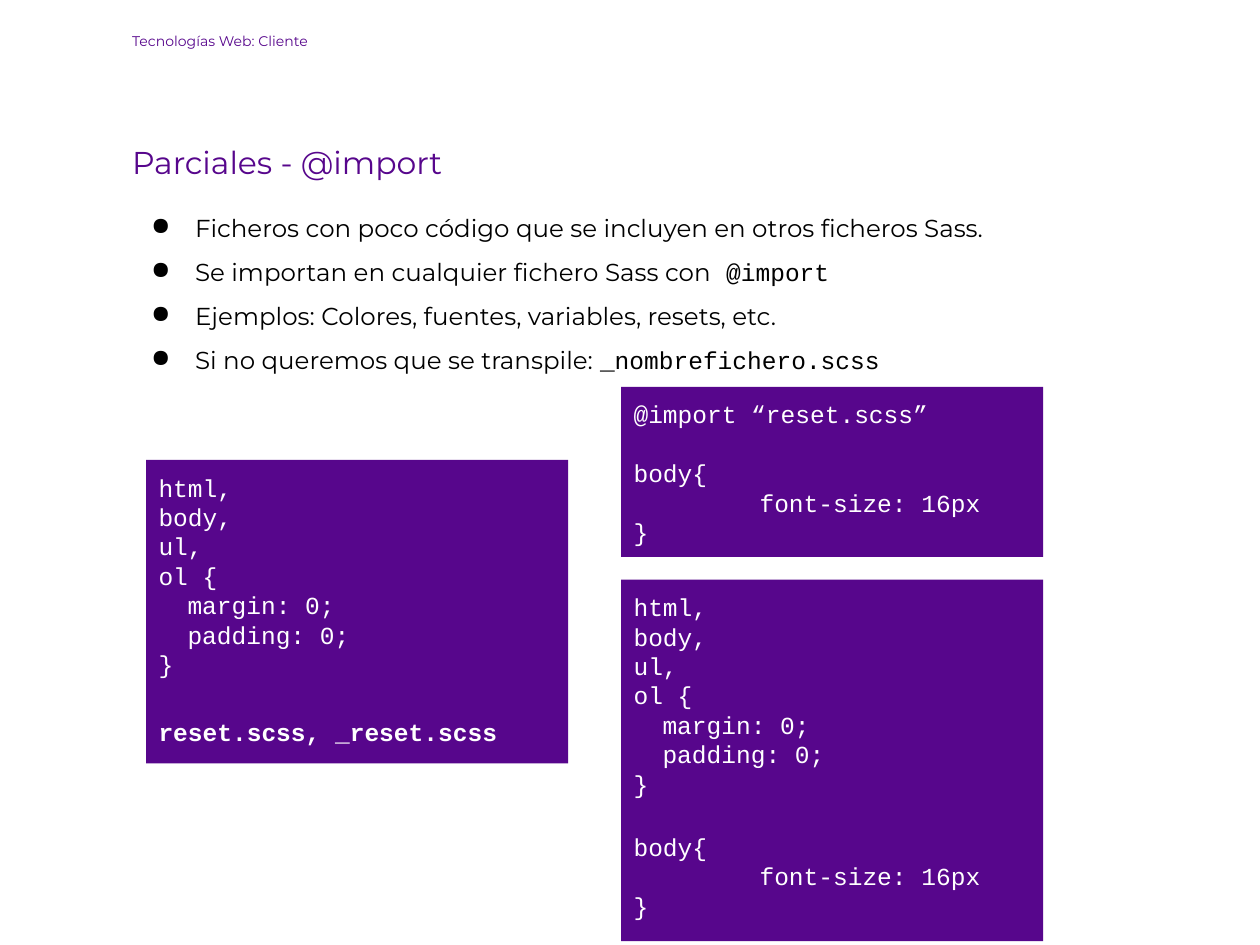
from dataclasses import dataclass

import lxml.etree
import pptx
import pptx.dml.color
import pptx.enum.shapes
import pptx.enum.text
import pptx.oxml.ns
import pptx.util


@dataclass(frozen=True)
class Theme:
    purple: str = "57068C"
    black: str = "000000"
    white: str = "FFFFFF"
    sans: str = "Montserrat"
    mono: str = "Courier New"
    course_size: int = 8
    heading_size: int = 18
    body_size: int = 14
    inset: float = 0.1


THEME = Theme()
WIDTH, HEIGHT = 10, 7.5
MARGIN = 0.95
CODE_LEFT, CODE_RIGHT, CODE_WIDTH = 1.16, 4.93, 3.35
SPACES, TAB = 0.23, 1.0
BLANK_LINE, TALL_BLANK_LINE = 16.8, 19.3

COURSE = "Tecnologías Web: Cliente"
HEADING = "Parciales - @import"
POINTS = [
    ("Ficheros con poco código que se incluyen en otros ficheros Sass.", ""),
    ("Se importan en cualquier fichero Sass con", " @import"),
    ("Ejemplos: Colores, fuentes, variables, resets, etc.", ""),
    ("Si no queremos que se transpile: ", "_nombrefichero.scss"),
]
RESET_RULE = [
    ("html,", 0), ("body,", 0), ("ul,", 0), ("ol {", 0),
    ("margin: 0;", SPACES), ("padding: 0;", SPACES), ("}", 0),
]
BODY_RULE = [("body{", 0), ("font-size: 16px", TAB), ("}", 0)]
IMPORT_RULE = [("@import “reset.scss”", 0)]
FILE_NAMES = [("reset.scss, _reset.scss", 0)]


def style_run(run, font, size, color, bold=False):
    run.font.name = font
    run.font.size = pptx.util.Pt(size)
    run.font.bold = bold
    run.font.color.rgb = pptx.dml.color.RGBColor.from_string(color)


def style_frame(frame):
    frame.word_wrap = True
    frame.vertical_anchor = pptx.enum.text.MSO_ANCHOR.TOP
    inset = pptx.util.Inches(THEME.inset)
    frame.margin_left = frame.margin_right = inset
    frame.margin_top = frame.margin_bottom = inset


def indent(paragraph, left, first=0.0):
    properties = paragraph._p.get_or_add_pPr()
    properties.set("marL", str(pptx.util.Inches(left)))
    properties.set("indent", str(pptx.util.Inches(first)))
    return properties


def add_bullet(paragraph):
    properties = indent(paragraph, 0.5, -0.35)
    qn = pptx.oxml.ns.qn
    color = lxml.etree.SubElement(properties, qn("a:buClr"))
    lxml.etree.SubElement(color, qn("a:srgbClr"), val=THEME.black)
    lxml.etree.SubElement(properties, qn("a:buChar"), char="●")


def add_text_box(slide, left, top, width, height):
    box = slide.shapes.add_textbox(*map(pptx.util.Inches, (left, top, width, height)))
    style_frame(box.text_frame)
    return box.text_frame


def add_course(slide):
    frame = add_text_box(slide, MARGIN, 0.19, 3.78, 0.39)
    frame.text = COURSE
    style_run(frame.paragraphs[0].runs[0], THEME.sans, THEME.course_size, THEME.purple)


def add_explanation(slide):
    frame = add_text_box(slide, MARGIN, 0.99, 8.41, 2.87)
    frame.text = HEADING
    heading = frame.paragraphs[0]
    heading.line_spacing = 1.15
    style_run(heading.runs[0], THEME.sans, THEME.heading_size, THEME.purple)
    for number, (words, code) in enumerate(POINTS):
        point = frame.add_paragraph()
        point.line_spacing = 1.5
        point.space_before = pptx.util.Pt(0 if number else 10)
        add_bullet(point)
        point.text = words
        style_run(point.runs[0], THEME.sans, THEME.body_size, THEME.black)
        if code:
            code_run = point.add_run()
            code_run.text = code
            style_run(code_run, THEME.mono, THEME.body_size, THEME.black)


def add_code(slide, left, top, height, blocks, gap, bold_last=False):
    panel = slide.shapes.add_shape(
        pptx.enum.shapes.MSO_SHAPE.RECTANGLE,
        *map(pptx.util.Inches, (left, top, CODE_WIDTH, height)))
    panel.shadow.inherit = False
    panel.fill.solid()
    panel.fill.fore_color.rgb = pptx.dml.color.RGBColor.from_string(THEME.purple)
    panel.line.fill.background()
    frame = panel.text_frame
    style_frame(frame)
    lines = [line for block in blocks for line in block]
    frame.text = "\n".join(words for words, _ in lines)
    for paragraph, (_, depth) in zip(frame.paragraphs, lines):
        paragraph.alignment = pptx.enum.text.PP_ALIGN.LEFT
        indent(paragraph, depth)
        style_run(paragraph.runs[0], THEME.mono, THEME.body_size, THEME.white)
    second_block = frame.paragraphs[len(blocks[0])]
    second_block.space_before = pptx.util.Pt(gap)
    if bold_last:
        frame.paragraphs[-1].line_spacing = 1.15
        frame.paragraphs[-1].runs[0].font.bold = True


def main():
    deck = pptx.Presentation()
    deck.slide_width = pptx.util.Inches(WIDTH)
    deck.slide_height = pptx.util.Inches(HEIGHT)
    slide = deck.slides.add_slide(deck.slide_layouts[6])
    add_course(slide)
    add_explanation(slide)
    add_code(slide, CODE_LEFT, 3.65, 2.41, [RESET_RULE, FILE_NAMES],
             TALL_BLANK_LINE, bold_last=True)
    add_code(slide, CODE_RIGHT, 3.07, 1.35, [IMPORT_RULE, BODY_RULE], BLANK_LINE)
    add_code(slide, CODE_RIGHT, 4.6, 2.87, [RESET_RULE, BODY_RULE], TALL_BLANK_LINE)
    deck.save("out.pptx")


if __name__ == "__main__":
    main()
